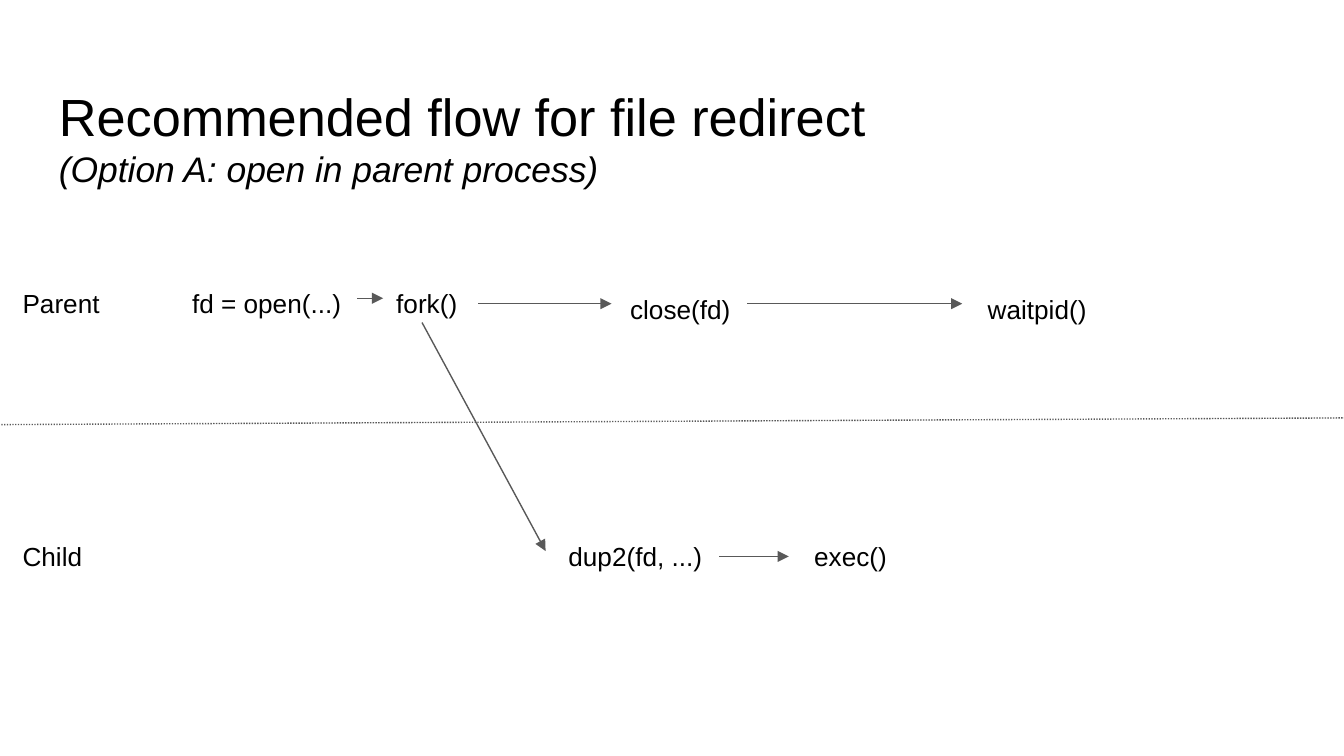
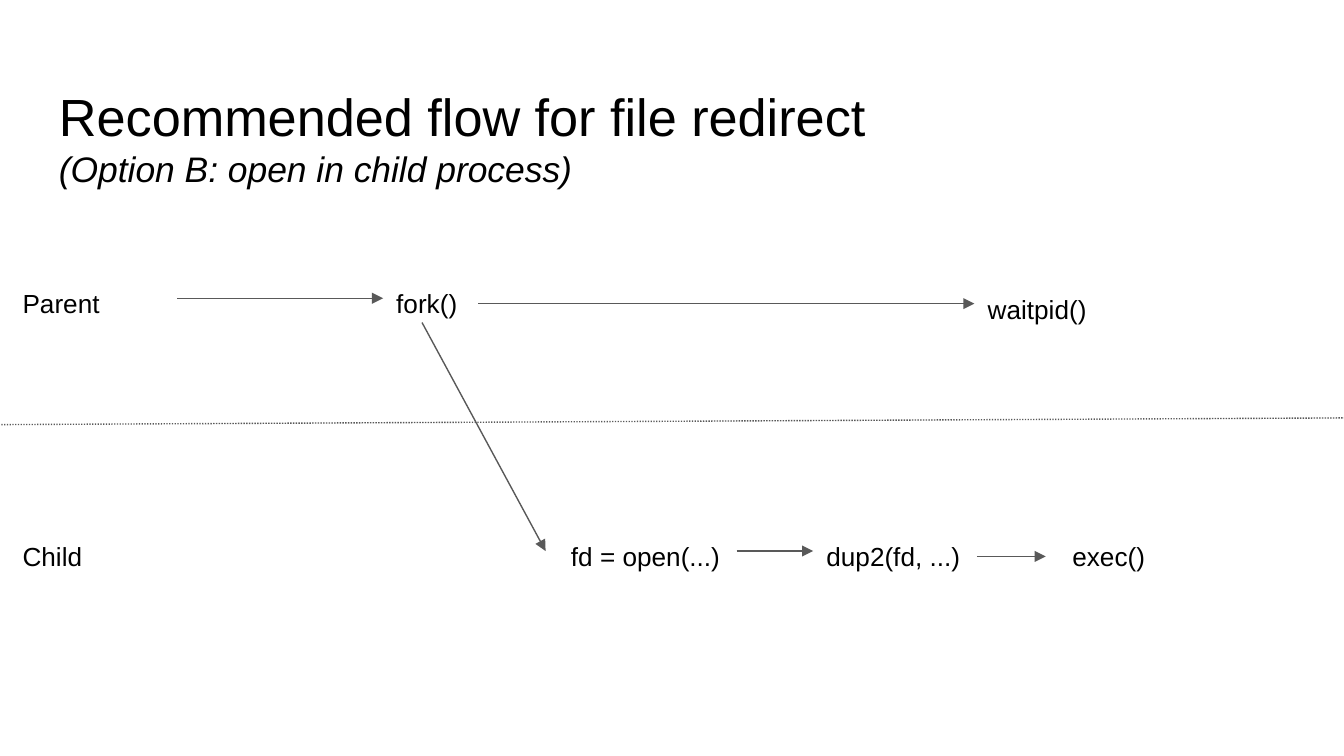
import pptx
import pptx.util
import pptx.dml.color
import pptx.enum.dml
import pptx.enum.shapes
import pptx.oxml
import pptx.oxml.ns

Pt = pptx.util.Pt
FONT, INK, GREY = "Arial", "000000", "595959"
TITLE = "Recommended flow for file redirect"
HIGH, LOW, CHILD = 146.9, 149.8, 282.2
WIDTHS = {
    "Parent": 73.4, "Child": 73.4, "fd = open(...)": 95.8, "fork()": 47.5,
    "close(fd)": 69.1, "waitpid()": 71.3, "dup2(fd, ...)": 87.8, "exec()": 57.6,
}
STEPS = [
    ("Parent", 5, HIGH), ("Child", 5, CHILD),
    ("fork()", 205.2, HIGH), ("waitpid()", 522, LOW),
]
FORK = (226.1, 172.8, 292.3, 295.2)
SPLIT = (0.7, 227.5, 720.7, 223.9)
SLIDES = [
    {
        "note": "(Option A: open in parent process)",
        "steps": [
            ("fd = open(...)", 95.8, HIGH), ("close(fd)", 330.5, LOW),
            ("dup2(fd, ...)", 297.4, CHILD), ("exec()", 429.1, CHILD),
        ],
        "flows": [
            (191.5, 159.8, 205.2, 159.8), (256.3, 162.7, 327.6, 162.7),
            (400.3, 162.7, 515.5, 162.7), (385.2, 298.1, 422.6, 298.1),
        ],
    },
    {
        "note": "(Option B: open in child process)",
        "steps": [
            ("fd = open(...)", 298.8, CHILD), ("dup2(fd, ...)", 435.6, CHILD),
            ("exec()", 567.4, CHILD),
        ],
        "flows": [
            (95, 159.8, 205.2, 159.8), (256.3, 162.7, 522, 162.7),
            (394.6, 295.2, 435.6, 295.2), (523.4, 298.1, 560.2, 298.1),
        ],
    },
]


def color(code):
    return pptx.dml.color.RGBColor.from_string(code)


def write(slide, rows, left, top, width, height, inset=7.2):
    box = slide.shapes.add_textbox(Pt(left), Pt(top), Pt(width), Pt(height))
    frame = box.text_frame
    frame.word_wrap = True
    frame.margin_left = frame.margin_right = frame.margin_bottom = Pt(7.2)
    frame.margin_top = Pt(inset)
    frame.text = "\n".join(text for text, size, slant in rows)
    for para, (text, size, slant) in zip(frame.paragraphs, rows):
        para.font.name = FONT
        para.font.size = Pt(size)
        para.font.italic = slant
        para.font.color.rgb = color(INK)


def draw(slide, ends, arrow=True):
    kind = pptx.enum.shapes.MSO_CONNECTOR.STRAIGHT
    link = slide.shapes.add_connector(kind, *map(Pt, ends))
    link.line.color.rgb = color(GREY)
    link.line.width = Pt(0.75)
    props = link._element.spPr
    if arrow:
        tail = pptx.oxml.ns.qn("a:tailEnd")
        link.line._get_or_add_ln().append(
            props.makeelement(tail, {"type": "triangle"}))
    else:
        link.line.dash_style = pptx.enum.dml.MSO_LINE.ROUND_DOT
    props.append(props.makeelement(pptx.oxml.ns.qn("a:effectLst"), {}))


def main():
    deck = pptx.Presentation()
    deck.slide_width, deck.slide_height = Pt(720), Pt(405)
    for page in SLIDES:
        slide = deck.slides.add_slide(deck.slide_layouts[6])
        rows = [(TITLE, 28, False), (page["note"], 19, True)]
        write(slide, rows, 24.5, 35.3, 689.8, 45.4, inset=9.7)
        draw(slide, SPLIT, arrow=False)
        for text, left, top in STEPS + page["steps"]:
            write(slide, [(text, 14, False)], left, top, WIDTHS[text], 26.6)
        for ends in [FORK] + page["flows"]:
            draw(slide, ends)
    deck.save("out.pptx")


if __name__ == "__main__":
    main()
